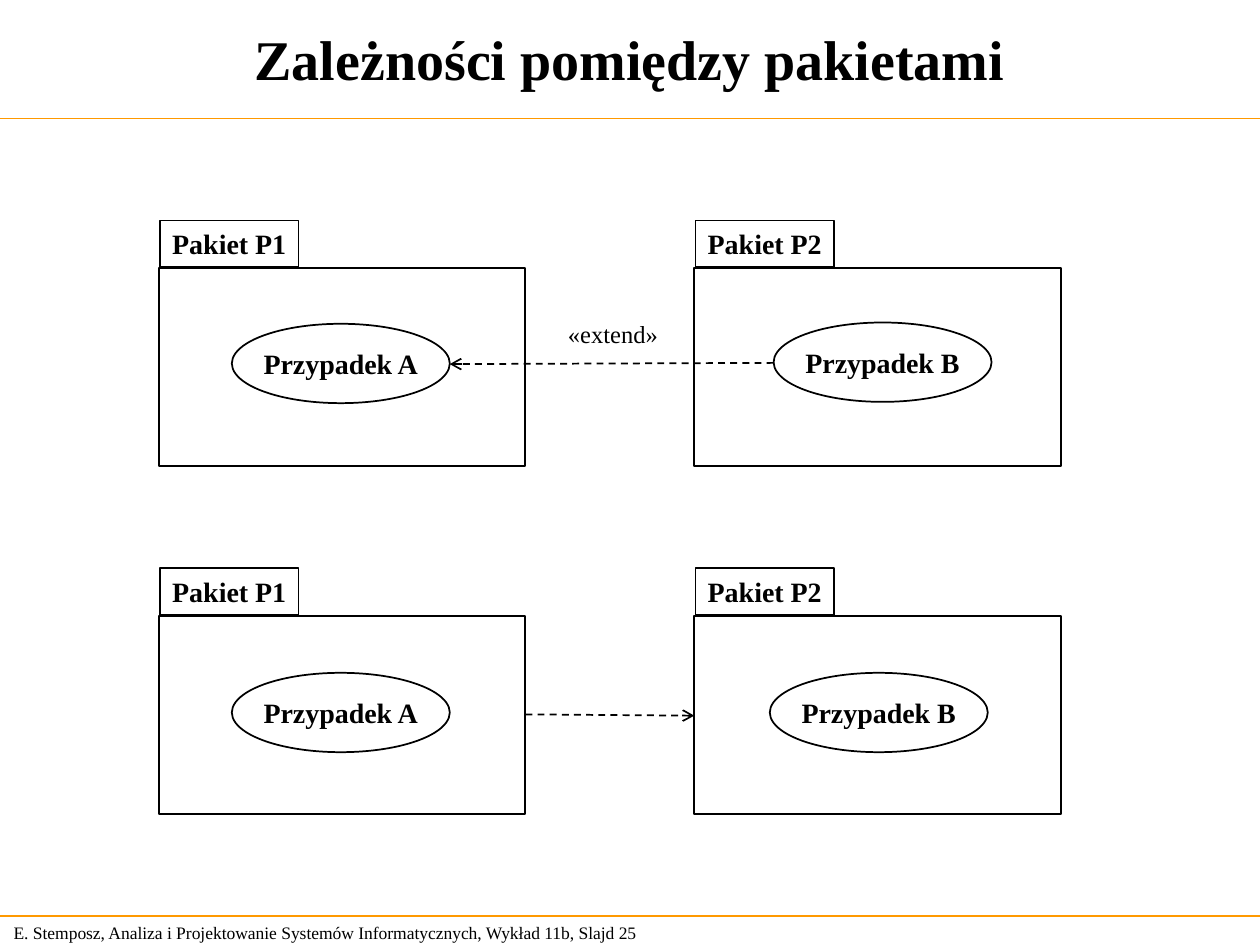
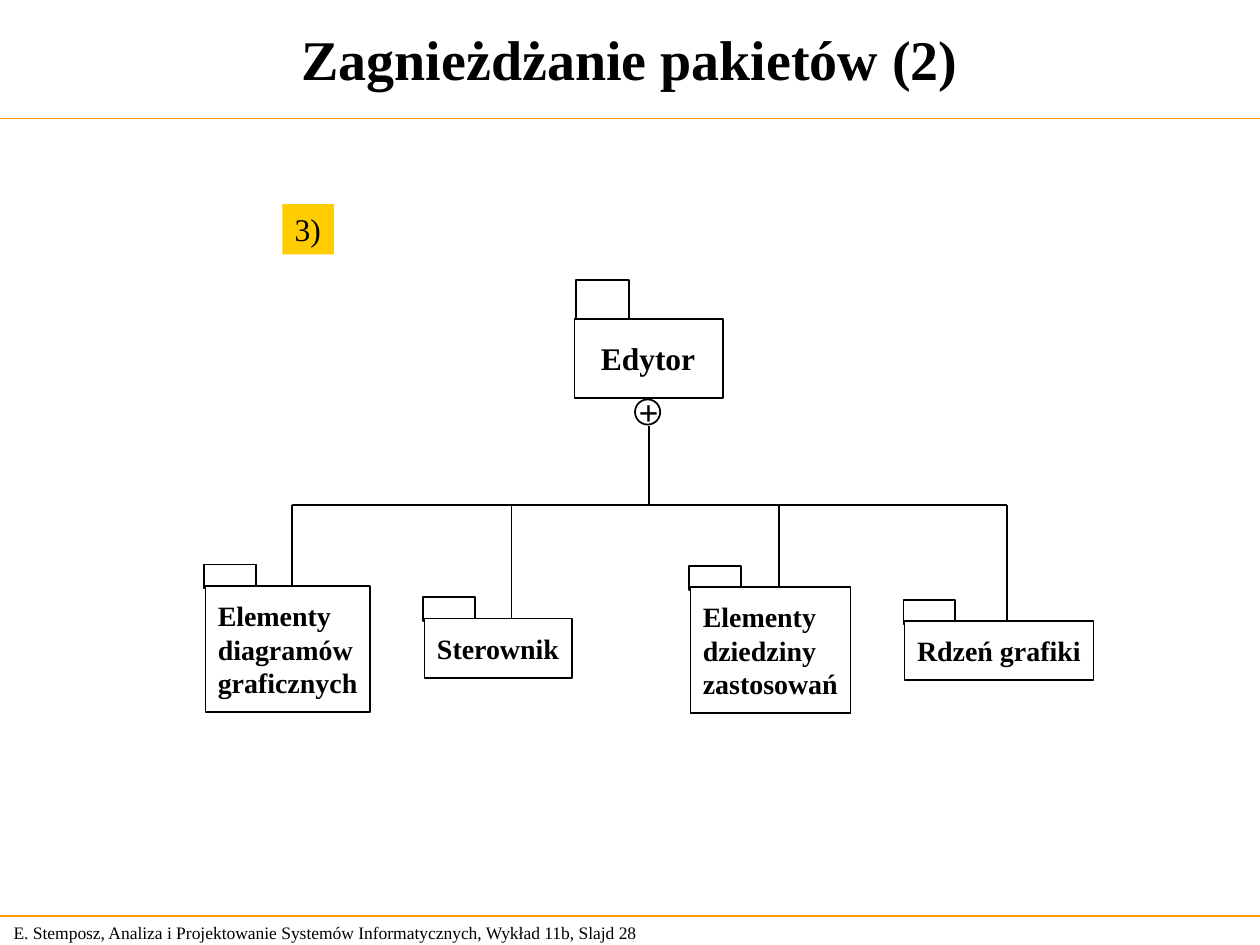
"""Build two lecture slides about dependencies between packages and their nesting."""
from dataclasses import dataclass
from typing import Optional

from lxml.etree import SubElement
from pptx import Presentation
from pptx.dml.color import RGBColor
from pptx.enum.dml import MSO_LINE
from pptx.enum.shapes import MSO_CONNECTOR, MSO_SHAPE
from pptx.enum.text import MSO_ANCHOR, PP_ALIGN
from pptx.oxml.ns import qn
from pptx.util import Pt

PX = 9144
FONT = "Times New Roman"
BLACK = RGBColor(0x00, 0x00, 0x00)
WHITE = RGBColor(0xFF, 0xFF, 0xFF)
ORANGE = RGBColor(0xFF, 0x99, 0x00)
GOLD = RGBColor(0xFF, 0xCC, 0x00)
FOOTER = "E. Stemposz, Analiza i Projektowanie Systemów Informatycznych, Wykład 11b, Slajd {}"


@dataclass(frozen=True)
class Box:
    left: int
    top: int
    width: int
    height: int
    text: str = ""
    size: int = 16
    bold: bool = True
    centred: bool = False
    middle: bool = False
    wrap: bool = False
    inset: int = 5
    kind: Optional[MSO_SHAPE] = None
    fill: Optional[RGBColor] = None
    outline: Optional[RGBColor] = BLACK


@dataclass(frozen=True)
class Line:
    x1: int
    y1: int
    x2: int
    y2: int
    color: RGBColor = BLACK
    weight: float = 1
    dashed_arrow: bool = False


@dataclass(frozen=True)
class Package:
    left: int
    top: int
    name: str
    case: str
    case_left: int
    case_top: int


@dataclass(frozen=True)
class Leaf:
    left: int
    top: int
    width: int
    height: int
    branch: int
    text: str


PACKAGES = (
    Package(126, 213, "Pakiet P1", "Przypadek A", 184, 257),
    Package(551, 213, "Pakiet P2", "Przypadek B", 614, 256),
    Package(126, 489, "Pakiet P1", "Przypadek A", 184, 534),
    Package(551, 489, "Pakiet P2", "Przypadek B", 611, 534),
)
LEAVES = (
    Leaf(163, 465, 131, 100, 232, "Elementy\ndiagramów\ngraficznych"),
    Leaf(337, 491, 117, 47, 406, "Sterownik"),
    Leaf(548, 466, 127, 100, 618, "Elementy\ndziedziny\nzastosowań"),
    Leaf(718, 493, 150, 47, 799, "Rdzeń grafiki"),
)
BRANCH_TOP = 401


def draw_box(page, box: Box) -> None:
    """Draw a shape, or a plain text box when no kind is given."""
    place = [length * PX for length in (box.left, box.top, box.width, box.height)]
    if box.kind is None:
        shape = page.shapes.add_textbox(*place)
    else:
        shape = page.shapes.add_shape(box.kind, *place)
        shape.shadow.inherit = False
        if box.fill is None:
            shape.fill.background()
        else:
            shape.fill.solid()
            shape.fill.fore_color.rgb = box.fill
        if box.outline is None:
            shape.line.fill.background()
        else:
            shape.line.color.rgb = box.outline
            shape.line.width = Pt(1)
    if not box.text:
        return
    frame = shape.text_frame
    frame.text = box.text
    frame.word_wrap = box.wrap
    frame.vertical_anchor = MSO_ANCHOR.MIDDLE if box.middle else MSO_ANCHOR.TOP
    frame.margin_left = frame.margin_right = 10 * PX
    frame.margin_top = frame.margin_bottom = box.inset * PX
    for para in frame.paragraphs:
        para.alignment = PP_ALIGN.CENTER if box.centred else PP_ALIGN.LEFT
        for span in para.runs:
            span.font.name = FONT
            span.font.size = Pt(box.size)
            span.font.bold = box.bold
            span.font.color.rgb = BLACK


def draw_line(page, line: Line) -> None:
    """Draw a straight line, optionally dashed with an open arrowhead."""
    ends = [length * PX for length in (line.x1, line.y1, line.x2, line.y2)]
    connector = page.shapes.add_connector(MSO_CONNECTOR.STRAIGHT, *ends)
    connector.line.color.rgb = line.color
    connector.line.width = Pt(line.weight)
    if line.dashed_arrow:
        connector.line.dash_style = MSO_LINE.DASH
        SubElement(connector.line._get_or_add_ln(), qn("a:tailEnd"), type="arrow")
    SubElement(connector._element.spPr, qn("a:effectLst"))


def add_page(deck, title: str, number: int):
    """Add a slide with the shared title, rules and footer."""
    page = deck.slides.add_slide(deck.slide_layouts[6])
    draw_box(page, Box(1, 727, 524, 27, FOOTER.format(number), 10, False, middle=True, wrap=True))
    for y in (94, 727):
        draw_line(page, Line(0, y, 1000, y, ORANGE, 0.75))
    draw_box(page, Box(0, 0, 1000, 92, title, 32, centred=True, middle=True, wrap=True))
    return page


def draw_package(page, package: Package) -> None:
    """Draw a package frame with its name tab and use case."""
    draw_box(page, Box(package.left, package.top, 291, 157, kind=MSO_SHAPE.RECTANGLE))
    draw_box(page, Box(package.case_left, package.case_top, 173, 63, package.case,
                       centred=True, middle=True, kind=MSO_SHAPE.OVAL))
    draw_box(page, Box(package.left + 1, package.top - 38, 110, 37, package.name,
                       centred=True, middle=True, kind=MSO_SHAPE.RECTANGLE))


def draw_leaf(page, leaf: Leaf) -> None:
    """Draw a nested package and the branch leading to it."""
    draw_box(page, Box(leaf.left - 1, leaf.top - 17, 41, 19,
                       kind=MSO_SHAPE.RECTANGLE, fill=WHITE))
    draw_box(page, Box(leaf.left, leaf.top, leaf.width, leaf.height, leaf.text,
                       inset=10, kind=MSO_SHAPE.RECTANGLE, fill=WHITE))
    draw_line(page, Line(leaf.branch, BRANCH_TOP, leaf.branch, leaf.top))


def build_dependencies(deck) -> None:
    """Build the slide on dependencies between packages."""
    page = add_page(deck, "Zależności pomiędzy pakietami", 25)
    for package in PACKAGES:
        draw_package(page, package)
    draw_line(page, Line(614, 288, 357, 289, dashed_arrow=True))
    draw_box(page, Box(441, 248, 100, 34, "«extend»", 14, False))
    draw_line(page, Line(417, 567, 551, 568, dashed_arrow=True))


def build_nesting(deck) -> None:
    """Build the slide on nested packages."""
    page = add_page(deck, "Zagnieżdżanie pakietów (2)", 28)
    draw_box(page, Box(224, 162, 41, 40, "3)", 18, False,
                       kind=MSO_SHAPE.RECTANGLE, fill=GOLD, outline=None))
    draw_box(page, Box(457, 222, 42, 31, kind=MSO_SHAPE.RECTANGLE, fill=WHITE))
    draw_box(page, Box(467, 264, 100, 40, "Edytor", 18))
    draw_box(page, Box(456, 253, 118, 63, kind=MSO_SHAPE.RECTANGLE))
    for leaf in LEAVES:
        draw_leaf(page, leaf)
    draw_line(page, Line(LEAVES[0].branch, BRANCH_TOP, LEAVES[-1].branch, BRANCH_TOP))
    draw_box(page, Box(504, 317, 20, 20, kind=MSO_SHAPE.OVAL))
    draw_box(page, Box(497, 305, 40, 44, "+", 20))
    draw_line(page, Line(515, 338, 515, BRANCH_TOP))


def main() -> None:
    """Create the deck and save it."""
    deck = Presentation()
    deck.slide_width = 1000 * PX
    deck.slide_height = 750 * PX
    build_dependencies(deck)
    build_nesting(deck)
    deck.save("out.pptx")


if __name__ == "__main__":
    main()
